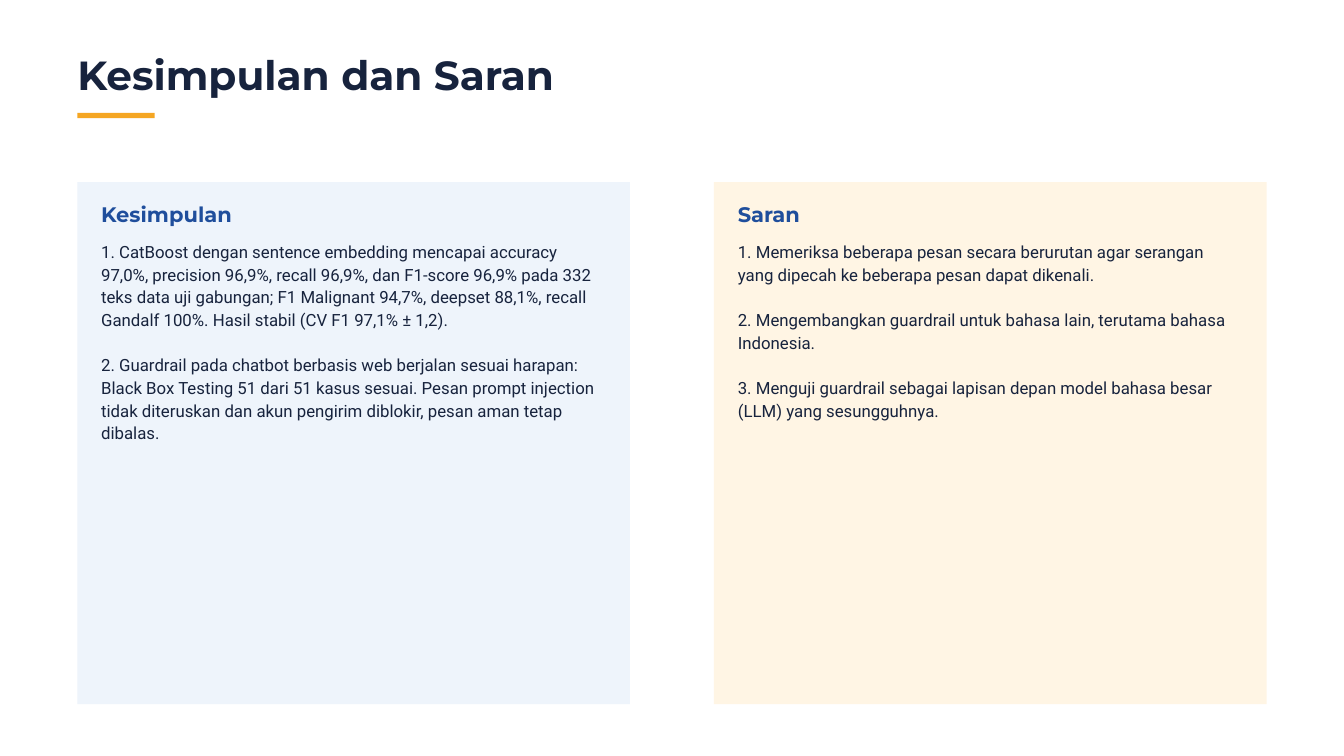
from dataclasses import dataclass

from pptx import Presentation
from pptx.dml.color import RGBColor
from pptx.enum.shapes import MSO_SHAPE
from pptx.enum.text import MSO_ANCHOR, MSO_AUTO_SIZE, PP_ALIGN
from pptx.util import Inches, Pt


@dataclass(frozen=True)
class Theme:
    ink: str = "17233D"
    heading: str = "1F4E9C"
    accent: str = "F5A623"
    blue_card: str = "EEF4FB"
    cream_card: str = "FFF5E4"
    head_font: str = "Montserrat"
    body_font: str = "Roboto"
    title_size: float = 43.5
    heading_size: float = 22.5
    body_size: float = 18
    title_line: float = 47
    line: float = 24.3


T = Theme()
W, H = 20, 11.25
MARGIN = 1.15
GAP = 1.25
CARD_W = (W - 2 * MARGIN - GAP) / 2
CARD_TOP, CARD_H = 2.71, 7.77
PAD = 0.355


def write(shape, paragraphs, *, size, font, color, line, bold=False, gap=0):
    tf = shape.text_frame
    tf.word_wrap = True
    tf.auto_size = MSO_AUTO_SIZE.NONE
    tf.vertical_anchor = MSO_ANCHOR.TOP
    tf.margin_left = tf.margin_right = tf.margin_top = tf.margin_bottom = 0
    for i, text in enumerate(paragraphs):
        p = tf.add_paragraph() if i else tf.paragraphs[0]
        p.alignment = PP_ALIGN.LEFT
        p.line_spacing = Pt(line)
        p.space_before = Pt(gap if i else 0)
        r = p.add_run()
        r.text = text
        r.font.size = Pt(size)
        r.font.name = font
        r.font.bold = bold
        r.font.color.rgb = RGBColor.from_string(color)


def add_block(s, x, y, w, h, color):
    """Add a plain filled rectangle without outline or shadow."""
    sp = s.shapes.add_shape(MSO_SHAPE.RECTANGLE, Inches(x), Inches(y), Inches(w), Inches(h))
    sp.shadow.inherit = False
    sp.fill.solid()
    sp.fill.fore_color.rgb = RGBColor.from_string(color)
    sp.line.fill.background()


prs = Presentation()
prs.slide_width, prs.slide_height = Inches(W), Inches(H)
s = prs.slides.add_slide(prs.slide_layouts[5])

title = s.shapes.title
title.left, title.top = Inches(MARGIN), Inches(0.81)
title.width, title.height = Inches(15.62), Inches(0.66)
write(title, ["Kesimpulan dan Saran"], size=T.title_size, font=T.head_font,
      color=T.ink, line=T.title_line, bold=True)
add_block(s, MARGIN, 1.68, 1.15, 0.08, T.accent)

cards = [
    ("Kesimpulan", T.blue_card, [
        "1. CatBoost dengan sentence embedding mencapai accuracy 97,0%, precision 96,9%, "
        "recall 96,9%, dan F1-score 96,9% pada 332 teks data uji gabungan; F1 Malignant 94,7%, "
        "deepset 88,1%, recall Gandalf 100%. Hasil stabil (CV F1 97,1% ± 1,2).",
        "2. Guardrail pada chatbot berbasis web berjalan sesuai harapan: Black Box Testing 51 dari "
        "51 kasus sesuai. Pesan prompt injection tidak diteruskan dan akun pengirim diblokir, "
        "pesan aman tetap dibalas.",
    ]),
    ("Saran", T.cream_card, [
        "1. Memeriksa beberapa pesan secara berurutan agar serangan yang dipecah ke beberapa "
        "pesan dapat dikenali.",
        "2. Mengembangkan guardrail untuk bahasa lain, terutama bahasa Indonesia.",
        "3. Menguji guardrail sebagai lapisan depan model bahasa besar (LLM) yang sesungguhnya.",
    ]),
]

for col, (heading, fill, points) in enumerate(cards):
    x = MARGIN + col * (CARD_W + GAP)
    add_block(s, x, CARD_TOP, CARD_W, CARD_H, fill)
    left, width = Inches(x + PAD), Inches(CARD_W - 2 * PAD)
    head = s.shapes.add_textbox(left, Inches(CARD_TOP + 0.33), width, Inches(0.36))
    write(head, [heading], size=T.heading_size, font=T.head_font,
          color=T.heading, line=T.line, bold=True)
    body = s.shapes.add_textbox(left, Inches(CARD_TOP + 0.85), width, Inches(2.65))
    write(body, points, size=T.body_size, font=T.body_font,
          color=T.ink, line=T.line, gap=T.line)

prs.save("out.pptx")
